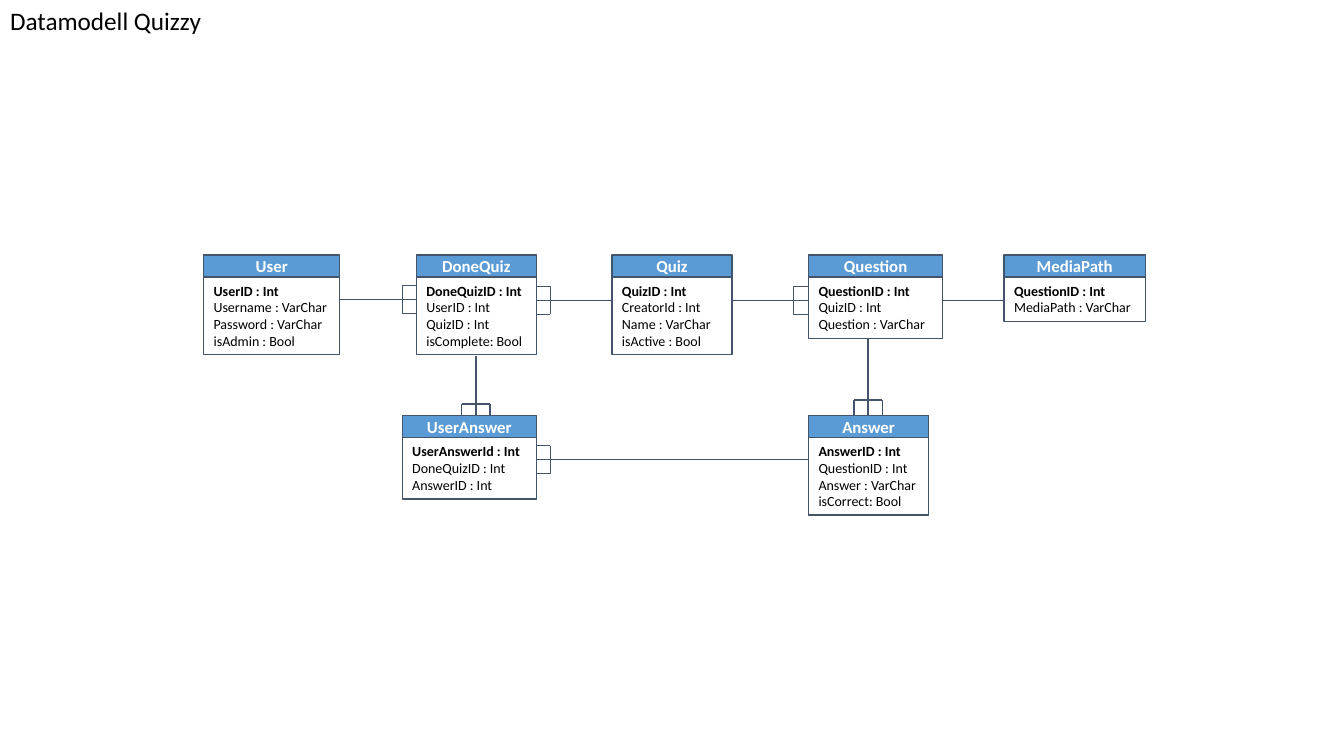
from pptx import Presentation
from pptx import util as u
from pptx.dml.color import RGBColor
from pptx.enum import shapes, text
from pptx.oxml import parse_xml
from pptx.oxml.ns import nsdecls

Inches, Pt = u.Inches, u.Pt
BLUE = RGBColor(0x5B, 0x9B, 0xD5)
SLATE = RGBColor(0x44, 0x54, 0x6A)
BLACK = RGBColor(0, 0, 0)
WHITE = RGBColor(255, 255, 255)
HEADER_H = 0.22
HALF_FORK = 0.14


def write(sp, lines, size=10, color=BLACK, align=text.PP_ALIGN.LEFT,
          anchor=text.MSO_ANCHOR.TOP, bold_first=False, wrap=True):
    tf = sp.text_frame
    tf.word_wrap = wrap
    tf.auto_size = text.MSO_AUTO_SIZE.NONE
    tf.vertical_anchor = anchor
    tf.margin_left = tf.margin_right = Inches(0.1)
    tf.margin_top = tf.margin_bottom = Inches(0.05)
    for i, line in enumerate(lines):
        p = tf.paragraphs[0] if i == 0 else tf.add_paragraph()
        p.alignment = align
        r = p.add_run()
        r.text = line
        r.font.name = "Calibri"
        r.font.size = Pt(size)
        r.font.bold = bold_first and i == 0
        r.font.color.rgb = color


def draw_line(x1, y1, x2, y2):
    line = s.shapes.add_connector(shapes.MSO_CONNECTOR.STRAIGHT,
                                  Inches(x1), Inches(y1), Inches(x2), Inches(y2))
    line.line.color.rgb = SLATE
    line.line.width = Pt(1)
    line._element.spPr.append(parse_xml(f"<a:effectLst {nsdecls('a')}/>"))


prs = Presentation()
prs.slide_width, prs.slide_height = Inches(13.33), Inches(7.5)
s = prs.slides.add_slide(prs.slide_layouts[5])

# Title
title = s.shapes.title
title.left, title.top, title.width, title.height = 0, 0, Inches(2.51), Inches(0.4)
write(title, ["Datamodell Quizzy"], size=18, wrap=False)

# Entities: name, left, top, width, body height, fields (key first)
entities = [
    ("Quiz", 6.07, 2.53, 1.19, 0.77,
     ["QuizID : Int", "CreatorId : Int", "Name : VarChar", "isActive : Bool"]),
    ("User", 2.02, 2.53, 1.35, 0.77,
     ["UserID : Int", "Username : VarChar", "Password : VarChar", "isAdmin : Bool"]),
    ("Question", 8.02, 2.53, 1.33, 0.61,
     ["QuestionID : Int", "QuizID : Int", "Question : VarChar"]),
    ("Answer", 8.02, 4.12, 1.19, 0.77,
     ["AnswerID : Int", "QuestionID : Int", "Answer : VarChar", "isCorrect: Bool"]),
    ("DoneQuiz", 4.13, 2.53, 1.19, 0.77,
     ["DoneQuizID : Int", "UserID : Int", "QuizID : Int", "isComplete: Bool"]),
    ("UserAnswer", 3.99, 4.12, 1.33, 0.61,
     ["UserAnswerId : Int", "DoneQuizID : Int", "AnswerID : Int"]),
    ("MediaPath", 9.96, 2.53, 1.4, 0.44,
     ["QuestionID : Int", "MediaPath : VarChar"]),
]
for name, left, top, width, body_h, fields in entities:
    header, body = [
        s.shapes.add_shape(shapes.MSO_SHAPE.RECTANGLE, Inches(left), Inches(y),
                           Inches(width), Inches(h))
        for y, h in ((top, HEADER_H), (top + HEADER_H, body_h))]
    header.fill.solid()
    header.fill.fore_color.rgb = BLUE
    body.fill.background()
    for sp in (header, body):
        sp.shadow.inherit = False
        sp.line.color.rgb = SLATE
        sp.line.width = Pt(1)
    write(header, [name], size=12, color=WHITE, align=text.PP_ALIGN.CENTER,
          anchor=text.MSO_ANCHOR.MIDDLE, bold_first=True)
    write(body, fields, bold_first=True)

# Relations: from the "one" side to the "many" side, with the fork depth there
relations = [
    (3.37, 2.97, 4.13, 2.97, 0.14),  # User - DoneQuiz
    (6.07, 2.98, 5.32, 2.98, 0.14),  # Quiz - DoneQuiz
    (7.26, 2.98, 8.02, 2.98, 0.15),  # Quiz - Question
    (9.35, 2.98, 9.96, 2.98, 0),     # Question - MediaPath
    (8.61, 3.36, 8.61, 4.12, 0.15),  # Question - Answer
    (8.02, 4.56, 5.32, 4.56, 0.14),  # Answer - UserAnswer
    (4.72, 3.53, 4.72, 4.12, 0.11),  # DoneQuiz - UserAnswer
]
for x1, y1, x2, y2, depth in relations:
    draw_line(x1, y1, x2, y2)
    if not depth:
        continue
    dx, dy = (x2 > x1) - (x2 < x1), (y2 > y1) - (y2 < y1)
    base_x, base_y = x2 - dx * depth, y2 - dy * depth
    off_x, off_y = abs(dy) * HALF_FORK, abs(dx) * HALF_FORK
    draw_line(base_x - off_x, base_y - off_y, base_x + off_x, base_y + off_y)
    for side in (-1, 1):
        draw_line(base_x + side * off_x, base_y + side * off_y,
                  x2 + side * off_x, y2 + side * off_y)

prs.save("out.pptx")
